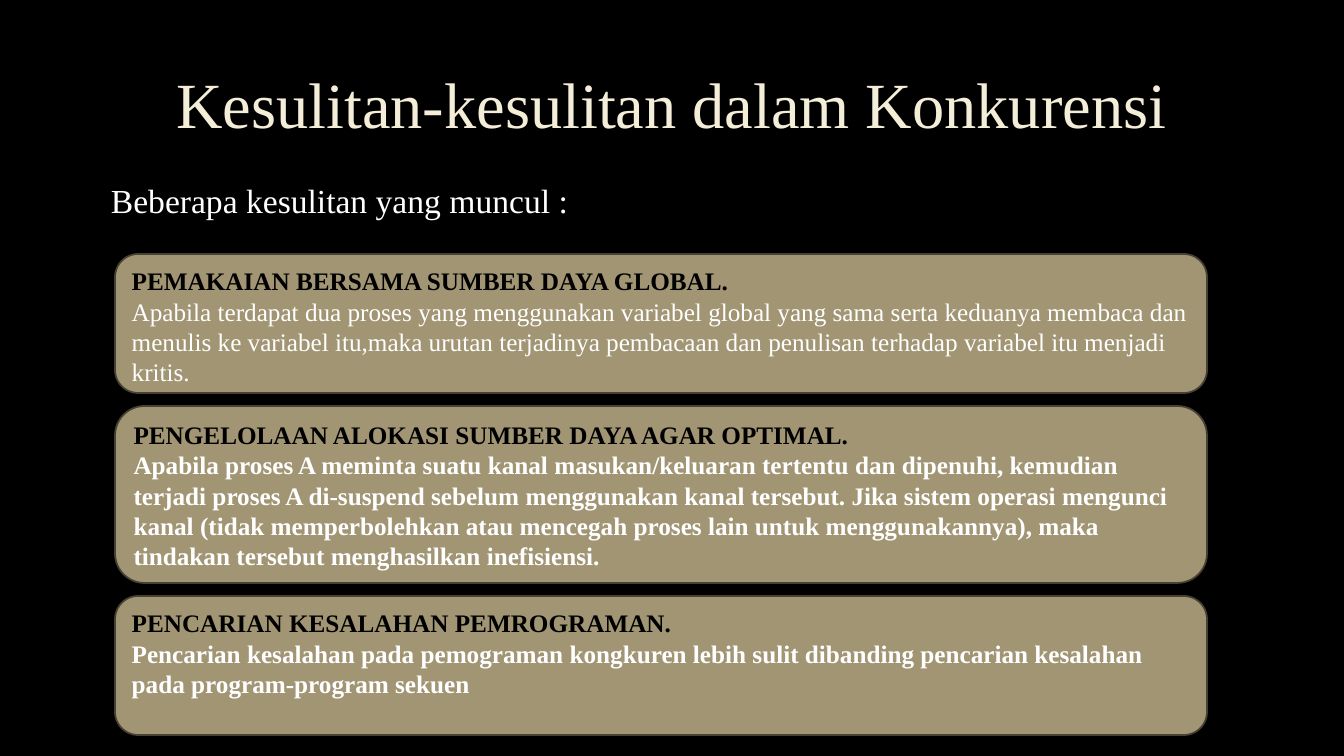
import pptx
import pptx.util
import pptx.dml.color
import pptx.enum.shapes
import pptx.enum.text
import pptx.oxml
from dataclasses import dataclass

NS = "http://schemas.openxmlformats.org/drawingml/2006/main"
OUTLINE = (f'<a:ln xmlns:a="{NS}" w="9525"><a:solidFill><a:srgbClr val="404040">'
           '<a:alpha val="10000"/></a:srgbClr></a:solidFill></a:ln>')


@dataclass
class Theme:
    font: str = "Times New Roman"
    back: str = "000000"
    title: str = "F4EDD8"
    light: str = "FFFFFF"
    dark: str = "000000"
    card: str = "A19574"
    edge: str = "474133"
    title_pt: int = 46
    lead_pt: int = 24
    card_pt: int = 18


def px(n):
    return round(n * 914400 / 100.8)


def rgb(code):
    return pptx.dml.color.RGBColor.from_string(code)


class Deck:
    def __init__(self, theme):
        self.theme = theme
        self.prs = pptx.Presentation()
        self.prs.slide_width, self.prs.slide_height = px(1344), px(756)
        # Title-only layout
        self.slide = self.prs.slides.add_slide(self.prs.slide_layouts[5])
        fill = self.slide.background.fill
        fill.solid()
        fill.fore_color.rgb = rgb(theme.back)

    def style(self, para, size, color, bold=False):
        font = para.font
        font.name, font.size, font.bold = self.theme.font, pptx.util.Pt(size), bold
        font.color.rgb = rgb(color)

    def title(self, text, x, y, w, h):
        shape = self.slide.shapes.title
        shape.left, shape.top, shape.width, shape.height = map(px, (x, y, w, h))
        frame = shape.text_frame
        frame.text = text
        frame.word_wrap = True
        frame.auto_size = pptx.enum.text.MSO_AUTO_SIZE.NONE
        frame.vertical_anchor = pptx.enum.text.MSO_ANCHOR.TOP
        para = frame.paragraphs[0]
        para.alignment = pptx.enum.text.PP_ALIGN.CENTER
        para.line_spacing = 0.9
        self.style(para, self.theme.title_pt, self.theme.title)
        # Faint outline around the letters
        para.runs[0].font._element.insert(0, pptx.oxml.parse_xml(OUTLINE))

    def lead(self, text, x, y, w, h):
        frame = self.slide.shapes.add_textbox(*map(px, (x, y, w, h))).text_frame
        frame.text = text
        frame.word_wrap = True
        self.style(frame.paragraphs[0], self.theme.lead_pt, self.theme.light)

    def card(self, head, body, bold, x, y, w, h):
        theme = self.theme
        kind = pptx.enum.shapes.MSO_SHAPE.ROUNDED_RECTANGLE
        shape = self.slide.shapes.add_shape(kind, *map(px, (x, y, w, h)))
        shape.shadow.inherit = False
        shape.fill.solid()
        shape.fill.fore_color.rgb = rgb(theme.card)
        shape.line.color.rgb = rgb(theme.edge)
        shape.line.width = pptx.util.Pt(1.25)
        frame = shape.text_frame
        frame.text = f"{head}\n{body}"
        frame.word_wrap = True
        frame.vertical_anchor = pptx.enum.text.MSO_ANCHOR.TOP
        for para, color, heavy in zip(frame.paragraphs, (theme.dark, theme.light), (True, bold)):
            para.alignment = pptx.enum.text.PP_ALIGN.LEFT
            self.style(para, theme.card_pt, color, heavy)


# Heading, body, bold body, height
CARDS = [
    ("PEMAKAIAN BERSAMA SUMBER DAYA GLOBAL.",
     "Apabila terdapat dua proses yang menggunakan variabel global yang sama serta "
     "keduanya membaca dan menulis ke variabel itu,maka urutan terjadinya pembacaan "
     "dan penulisan terhadap variabel itu menjadi kritis.", False, 139),
    ("PENGELOLAAN ALOKASI SUMBER DAYA AGAR OPTIMAL.",
     "Apabila proses A meminta suatu kanal masukan/keluaran tertentu dan dipenuhi, "
     "kemudian terjadi proses A di-suspend sebelum menggunakan kanal tersebut. Jika "
     "sistem operasi mengunci kanal (tidak memperbolehkan atau mencegah proses lain "
     "untuk menggunakannya), maka tindakan tersebut menghasilkan inefisiensi.", True, 177),
    ("PENCARIAN KESALAHAN PEMROGRAMAN.",
     "Pencarian kesalahan pada pemograman kongkuren lebih sulit dibanding pencarian "
     "kesalahan pada program-program sekuen", True, 139),
]
GAP = 13


def main():
    deck = Deck(Theme())
    # Heading and lead line
    deck.title("Kesulitan-kesulitan dalam Konkurensi", 101, 68, 1141, 139)
    deck.lead("Beberapa kesulitan yang muncul :", 101, 175, 533, 50)
    # Stacked cards
    top = 254
    for head, body, bold, high in CARDS:
        deck.card(head, body, bold, 115, top, 1092, high)
        top += high + GAP
    deck.prs.save("out.pptx")


if __name__ == "__main__":
    main()
